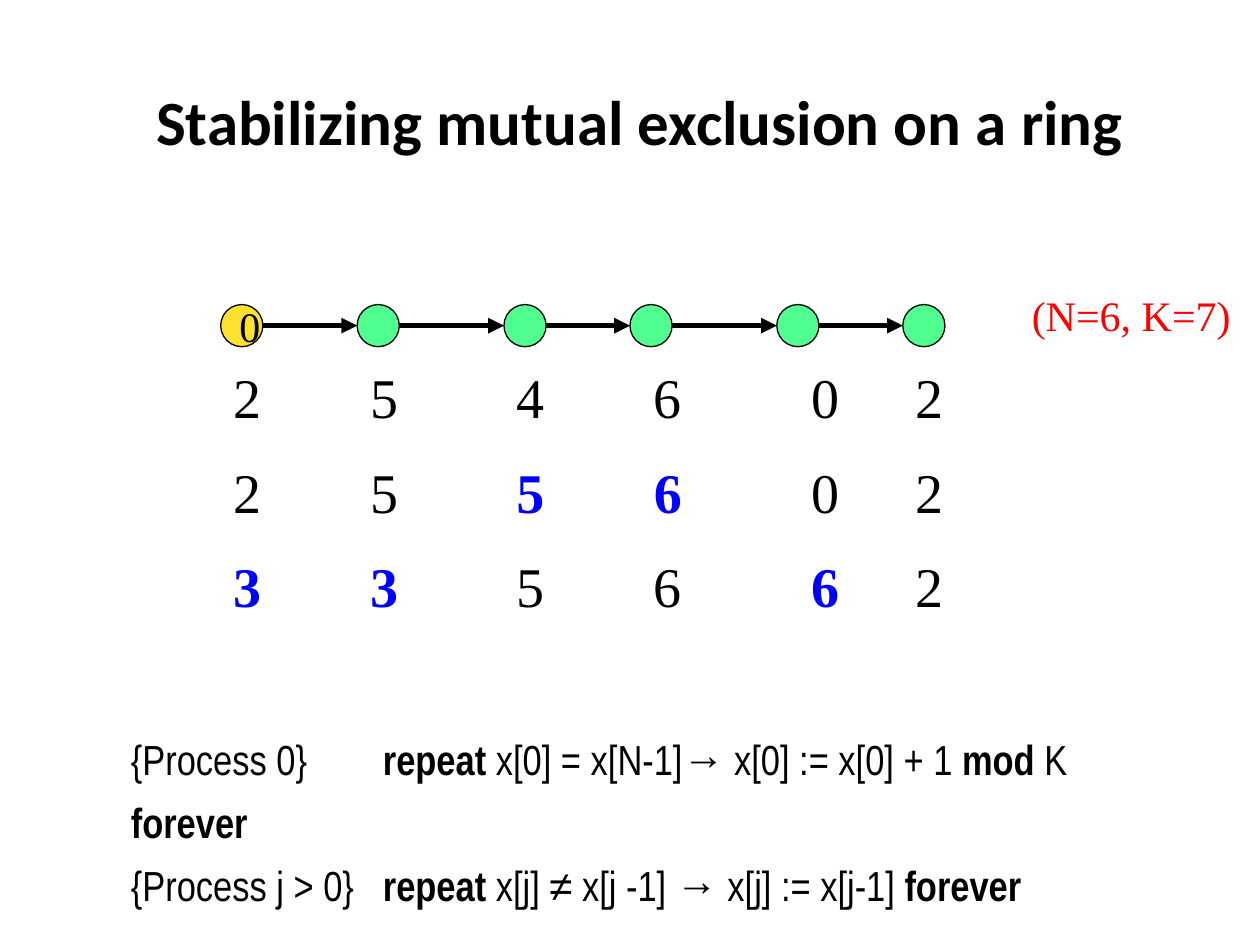
from lxml import etree
from pptx import Presentation
from pptx.dml.color import RGBColor
from pptx.enum.shapes import MSO_CONNECTOR, MSO_SHAPE
from pptx.enum.text import MSO_ANCHOR, MSO_AUTO_SIZE, PP_ALIGN
from pptx.oxml.ns import qn
from pptx.util import Cm, Pt

BLACK = RGBColor(0x00, 0x00, 0x00)
BLUE = RGBColor(0x00, 0x00, 0xFF)
RED = RGBColor(0xFF, 0x00, 0x00)
GREEN = RGBColor(0x51, 0xFF, 0x91)
YELLOW = RGBColor(0xFD, 0xE1, 0x2E)
ELLIPSE, STRAIGHT = MSO_SHAPE.OVAL, MSO_CONNECTOR.STRAIGHT
MIDDLE, TOP = MSO_ANCHOR.MIDDLE, MSO_ANCHOR.TOP
LEFT, CENTER = PP_ALIGN.LEFT, PP_ALIGN.CENTER
SERIF, NARROW, HEADING = "Times New Roman", "Arial Narrow", "Calibri"

# Content: True marks bold keywords and changed values
TITLE = "Stabilizing mutual exclusion on a ring"
PARAMETERS = "(N=6, K=7)"
STATES = [
    [("2", False), ("5", False), ("4", False), ("6", False), ("0", False), ("2", False)],
    [("2", False), ("5", False), ("5", True), ("6", True), ("0", False), ("2", False)],
    [("3", True), ("3", True), ("5", False), ("6", False), ("6", True), ("2", False)],
]
PROGRAM = [
    [("{Process 0}\t", False), ("repeat", True),
     (" x[0] = x[N-1]→ x[0] := x[0] + 1 ", False), ("mod", True),
     (" K ", False), ("forever", True)],
    [("{Process j > 0}\t", False), ("repeat", True),
     (" x[j] ≠ x[j -1] → x[j] := x[j-1] ", False), ("forever", True)],
]

# Layout in centimetres
NODE_LEFTS = [4.45, 7.2, 10.16, 12.7, 15.66, 18.2]
VALUE_LEFTS = [4.45, 7.21, 10.16, 12.93, 16.1, 18.2]
NODE_TOP, NODE_SIZE = 6.14, 0.85
VALUE_TOP, VALUE_STEP = 7.19, 1.905
PROGRAM_TAB = 5.08


def write(shape, paragraphs, *, size, font=SERIF, color=BLACK, align=LEFT,
          anchor=TOP, wrap=False, spacing=None, tab=None):
    """Fill a shape with paragraphs, each a list of (text, bold) runs."""
    frame = shape.text_frame
    frame.word_wrap, frame.vertical_anchor = wrap, anchor
    for index, runs in enumerate(paragraphs):
        paragraph = frame.paragraphs[0] if index == 0 else frame.add_paragraph()
        paragraph.alignment = align
        if spacing:
            paragraph.line_spacing = spacing
        if tab:
            tabs = etree.SubElement(paragraph._p.get_or_add_pPr(), qn("a:tabLst"))
            etree.SubElement(tabs, qn("a:tab"), pos=str(Cm(tab)), algn="l")
        for text, bold in runs:
            run = paragraph.add_run()
            run.text = text
            run.font.size, run.font.name, run.font.bold = Pt(size), font, bold
            run.font.color.rgb = color


def add_text(slide, box, paragraphs, **formatting):
    text_box = slide.shapes.add_textbox(*map(Cm, box))
    write(text_box, paragraphs, **formatting)
    text_box.text_frame.auto_size = MSO_AUTO_SIZE.SHAPE_TO_FIT_TEXT


def add_node(slide, left, color):
    node = slide.shapes.add_shape(ELLIPSE, Cm(left), Cm(NODE_TOP), Cm(NODE_SIZE), Cm(NODE_SIZE))
    node.shadow.inherit = False
    node.fill.solid()
    node.fill.fore_color.rgb = color
    node.line.color.rgb = BLACK
    node.line.width = Pt(0.75)
    return node


def add_arrow(slide, start, end):
    middle = Cm(NODE_TOP + NODE_SIZE / 2)
    arrow = slide.shapes.add_connector(STRAIGHT, Cm(start), middle, Cm(end), middle)
    arrow.line.color.rgb = BLACK
    arrow.line.width = Pt(3)
    etree.SubElement(arrow.line._get_or_add_ln(), qn("a:tailEnd"), type="triangle")
    etree.SubElement(arrow._element.spPr, qn("a:effectLst"))


def main():
    presentation = Presentation()
    presentation.slide_width, presentation.slide_height = Cm(25.4), Cm(19.05)
    slide = presentation.slides.add_slide(presentation.slide_layouts[5])

    # Title
    title = slide.shapes.title
    title.left, title.top, title.width, title.height = map(Cm, (1.47, 0.84, 22.86, 3.18))
    write(title, [[(TITLE, True)]], size=36, font=HEADING, align=CENTER,
          anchor=MIDDLE, wrap=True)

    # Chain of processes, the first one being special
    for left, following in zip(NODE_LEFTS, NODE_LEFTS[1:]):
        add_arrow(slide, left + NODE_SIZE, following)
    for index, left in enumerate(NODE_LEFTS):
        node = add_node(slide, left, GREEN if index else YELLOW)
        if index == 0:
            write(node, [[("0", False)]], size=24, anchor=MIDDLE)
    add_text(slide, (20.55, 5.72, 4.52, 1.27), [[(PARAMETERS, False)]], size=24, color=RED)

    # Successive states below the chain
    for row, values in enumerate(STATES):
        for left, (value, changed) in zip(VALUE_LEFTS, values):
            add_text(slide, (left, VALUE_TOP + row * VALUE_STEP, 1.07, 1.63),
                     [[(value, changed)]], size=32, color=BLUE if changed else BLACK)

    # Program of each process
    add_text(slide, (2.39, 14.4, 21.92, 2.79), PROGRAM, size=24, font=NARROW,
             spacing=1.25, tab=PROGRAM_TAB)

    presentation.save("out.pptx")


if __name__ == "__main__":
    main()
